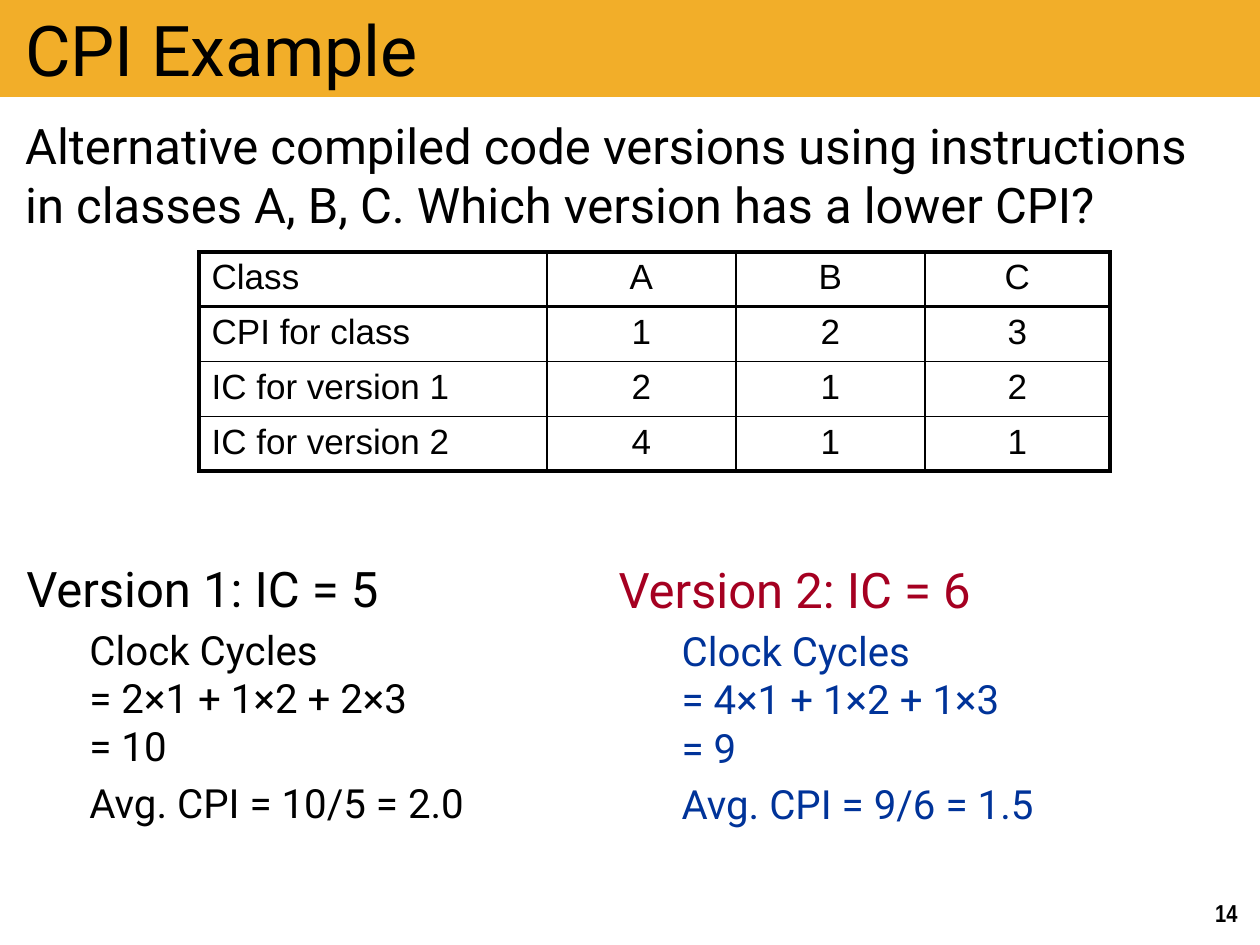
from lxml import etree
from pptx import Presentation
from pptx.dml.color import RGBColor
from pptx.enum import shapes, text
from pptx.oxml import ns
from pptx.util import Inches, Pt

BLACK = RGBColor(0x00, 0x00, 0x00)
AMBER = RGBColor(0xF2, 0xAE, 0x29)
CRIMSON = RGBColor(0xA5, 0x00, 0x21)
NAVY = RGBColor(0x00, 0x33, 0x99)

THICK, THIN = Pt(2.25), Pt(1)
COLUMN_WIDTHS = [2.76, 1.5, 1.5, 1.47]
ROW_HEIGHT = 0.435
CLASS_ROWS = [
    ["Class", "A", "B", "C"],
    ["CPI for class", "1", "2", "3"],
    ["IC for version 1", "2", "1", "2"],
    ["IC for version 2", "4", "1", "1"],
]


def set_margins(frame, side, end):
    frame.margin_left = frame.margin_right = Inches(side)
    frame.margin_top = frame.margin_bottom = Inches(end)
    frame.word_wrap = True


def add_lines(para, lines, size, color, font="Roboto", bold=False):
    """Write the lines as runs of one paragraph, parted by line breaks."""
    for index, line in enumerate(lines):
        if index:
            para.add_line_break()
        span = para.add_run()
        span.text = line
        span.font.name = font
        span.font.size = Pt(size)
        span.font.bold = bold
        span.font.color.rgb = color


def add_text_box(page, left, top, width, height, side=0.2, end=0.15):
    box = page.shapes.add_textbox(Inches(left), Inches(top), Inches(width), Inches(height))
    set_margins(box.text_frame, side, end)
    return box.text_frame


def add_title(page, title):
    bar = page.shapes.add_shape(
        shapes.MSO_SHAPE.RECTANGLE, 0, 0, Inches(10), Inches(0.77))
    bar.shadow.inherit = False
    bar.fill.solid()
    bar.fill.fore_color.rgb = AMBER
    bar.line.fill.background()
    frame = bar.text_frame
    set_margins(frame, 0.2, 0.05)
    frame.vertical_anchor = text.MSO_ANCHOR.MIDDLE
    para = frame.paragraphs[0]
    para.alignment = text.PP_ALIGN.LEFT
    add_lines(para, [title], 40, BLACK)


def add_version(page, left, top, heading, steps, heading_color, step_color):
    """Add a heading with indented calculation steps below it."""
    frame = add_text_box(page, left, top, 5, 2.5)
    add_lines(frame.paragraphs[0], [heading], 28, heading_color)
    for lines in steps:
        para = frame.add_paragraph()
        para.level = 1
        para.space_before = Pt(4.6)
        properties = para._p.get_or_add_pPr()
        properties.set("marL", str(Inches(0.5)))
        properties.set("indent", "0")
        add_lines(para, lines, 23, step_color)


def set_borders(cell, widths):
    """Draw the left, right, top and bottom borders in the given widths."""
    properties = cell._tc.get_or_add_tcPr()
    for index, (side, width) in enumerate(zip("LRTB", widths)):
        line = etree.Element(ns.qn(f"a:ln{side}"), w=str(width))
        fill = etree.SubElement(line, ns.qn("a:solidFill"))
        etree.SubElement(fill, ns.qn("a:srgbClr"), val=str(BLACK))
        properties.insert(index, line)


def add_class_table(page):
    row_count, column_count = len(CLASS_ROWS), len(COLUMN_WIDTHS)
    table = page.shapes.add_table(
        row_count, column_count, Inches(1.58), Inches(2),
        Inches(sum(COLUMN_WIDTHS)), Inches(ROW_HEIGHT * row_count)).table
    table.first_row = table.horz_banding = False
    for column, width in zip(table.columns, COLUMN_WIDTHS):
        column.width = Inches(width)
    for r, values in enumerate(CLASS_ROWS):
        for c, value in enumerate(values):
            cell = table.cell(r, c)
            cell.fill.background()
            para = cell.text_frame.paragraphs[0]
            para.alignment = text.PP_ALIGN.CENTER if c else text.PP_ALIGN.LEFT
            add_lines(para, [value], 20, BLACK, "Arial")
            heavy = (c == 0, c == column_count - 1, r < 2, r in (0, row_count - 1))
            set_borders(cell, [THICK if edge else THIN for edge in heavy])


def add_page_number(page, number):
    para = add_text_box(page, 9.5, 7.08, 0.42, 0.33, 0.1, 0.05).paragraphs[0]
    para.alignment = text.PP_ALIGN.RIGHT
    add_lines(para, [number], 14, BLACK, "Arial Narrow", True)


def main():
    deck = Presentation()
    deck.slide_width, deck.slide_height = Inches(10), Inches(7.5)
    page = deck.slides.add_slide(deck.slide_layouts[6])
    add_title(page, "CPI Example")
    question = add_text_box(page, 0, 0.77, 10, 1.2)
    add_lines(question.paragraphs[0], [
        "Alternative compiled code versions using instructions in classes A, B, C. "
        "Which version has a lower CPI?"], 28, BLACK)
    add_class_table(page)
    add_version(page, 0.01, 4.28, "Version 1: IC = 5", [
        ["Clock Cycles", "= 2×1 + 1×2 + 2×3", "= 10"],
        ["Avg. CPI = 10/5 = 2.0"]], BLACK, BLACK)
    add_version(page, 4.71, 4.29, "Version 2: IC = 6", [
        ["Clock Cycles", "= 4×1 + 1×2 + 1×3", "= 9"],
        ["Avg. CPI = 9/6 = 1.5"]], CRIMSON, NAVY)
    add_page_number(page, "14")
    deck.save("out.pptx")


if __name__ == "__main__":
    main()
